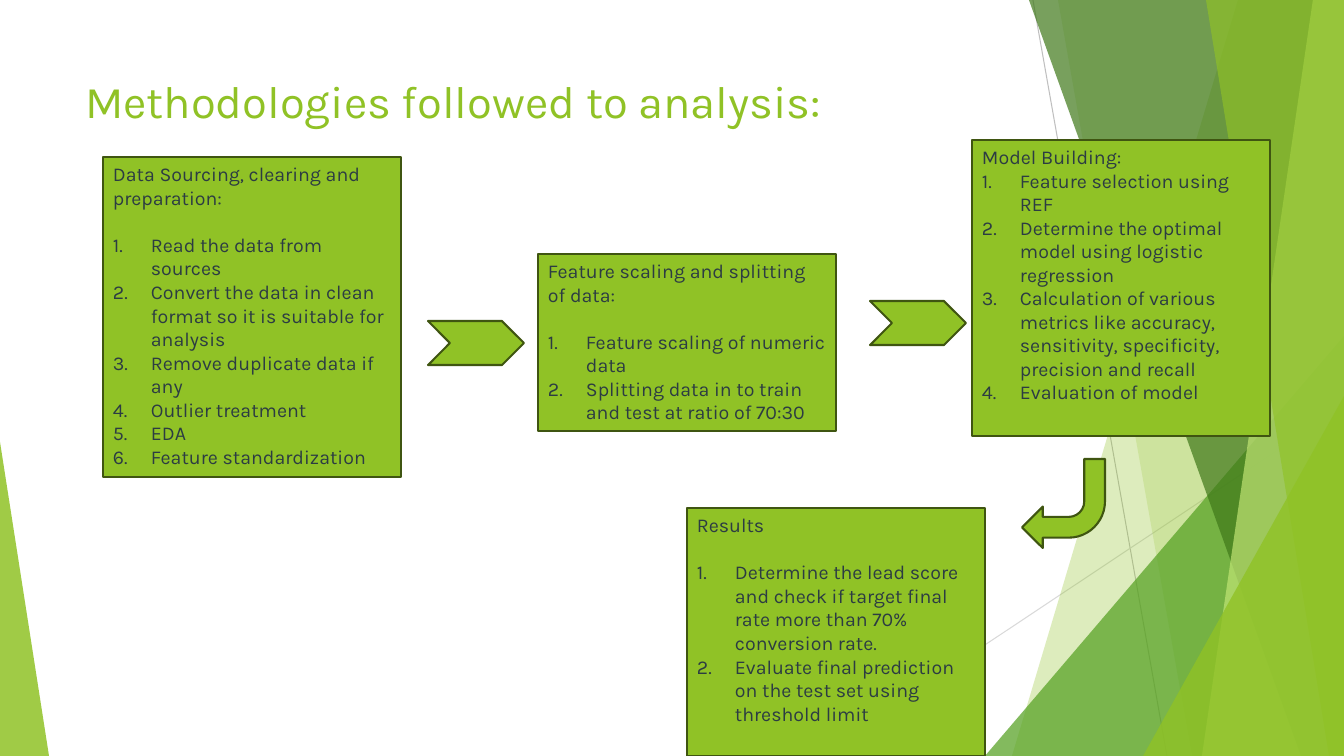
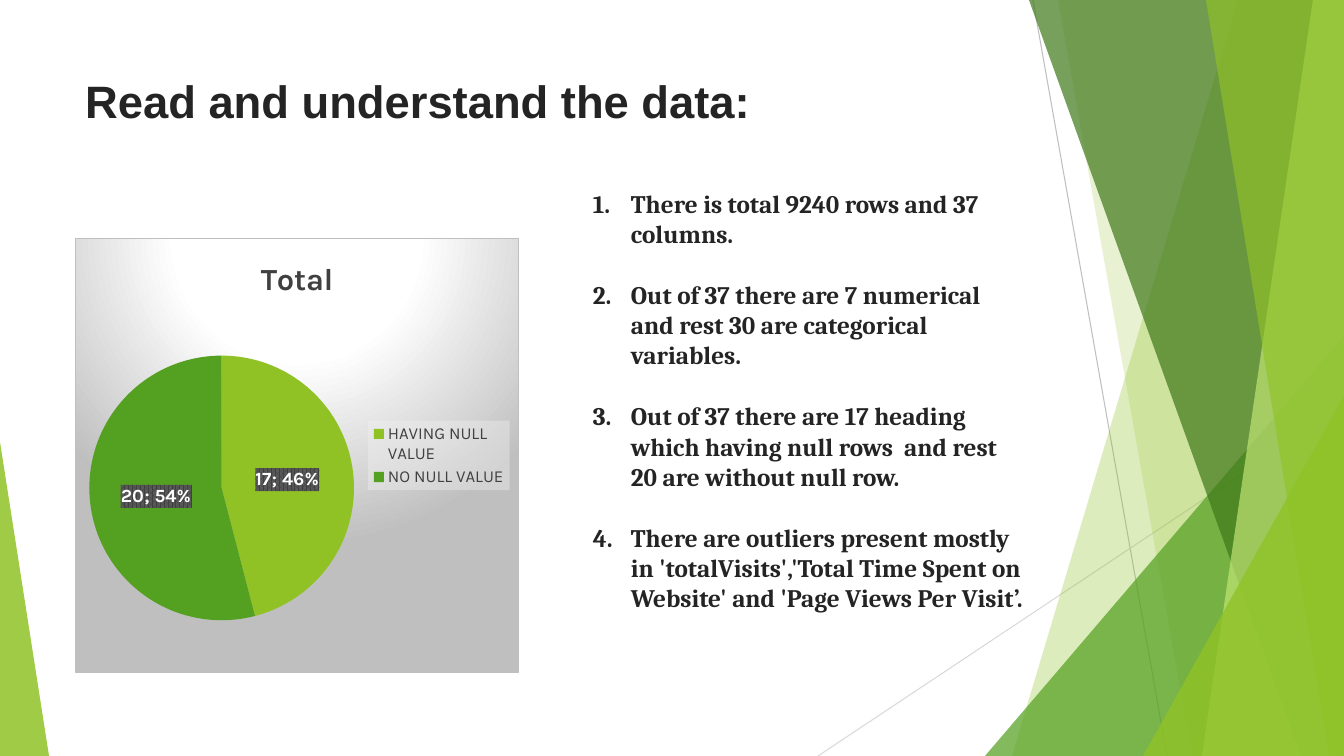
from lxml import etree
from pptx import Presentation
from pptx.chart import data as chart_data
from pptx.dml import color
from pptx.enum import chart as chart_kinds, shapes, text
from pptx.oxml import ns, parse_xml
from pptx import util as u

SLIDE_W, SLIDE_H = 1344, 756
SCALE = 12192000 / SLIDE_W
INDENT = 38
COLORS = {
    "lime": "90C226", "green": "54A021", "forest": "3F7819", "pale": "C0E474",
    "outline": "3F5511", "slate": "2C3C43", "ink": "242424", "white": "FFFFFF",
    "grey": "404040", "mid_grey": "595959", "silver": "BFBFBF", "mist": "D9D9D9",
    "smoke": "F2F2F2",
}

# Backdrop pieces from back to front: triangles as (box, apex), the rest as corners
BACKDROP = [
    ([(1238, 0), (1344, 0), (1344, 756), (1012, 756)], None, "lime", 30),
    ([(1058, 0), (1344, 0), (1344, 756), (1192, 756)], None, "lime", 20),
    ((985, 336, 359, 420), 1, "green", 72),
    ([(1029, 0), (1344, 0), (1344, 756), (1301, 756)], None, "forest", 70),
    ([(1313, 0), (1344, 0), (1344, 756), (1202, 756)], None, "pale", 70),
    ([(1206, 0), (1344, 0), (1344, 756), (1329, 756)], None, "lime", 65),
    ((1143, 396, 201, 360), 1, "lime", 80),
    ((0, 442, 49, 314), 0, "lime", 85),
]
BACKDROP_LINES = [((1033, 0, 1167, 756), "silver"), ((1344, 406, 818, 756), "mist")]

STEP_W = 298
STEPS = [
    ((103, 157, STEP_W, 320), "Data Sourcing, clearing and preparation:", 17,
     ["Read the data from sources",
      "Convert the data in clean format so it is suitable for analysis",
      "Remove duplicate data if any", "Outlier treatment", "EDA",
      "Feature standardization"]),
    ((538, 254, STEP_W, 177), "Feature scaling and splitting of data:", 17,
     ["Feature scaling of numeric data",
      "Splitting data in to train and test at ratio of 70:30"]),
    ((972, 140, STEP_W, 296), "Model Building:", 0,
     ["Feature selection using REF",
      "Determine the optimal model using logistic regression",
      "Calculation of various metrics like accuracy, sensitivity, specificity, "
      "precision and recall",
      "Evaluation of model"]),
    ((687, 508, STEP_W, 248), "Results", 17,
     ["Determine the lead score and check if target final rate more than 70% "
      "conversion rate.",
      "Evaluate final prediction on the test set using threshold limit"]),
]
ARROWS = [
    (shapes.MSO_SHAPE.CHEVRON, (428, 321, 96, 44), 0),
    (shapes.MSO_SHAPE.CHEVRON, (870, 301, 96, 44), 0),
    (shapes.MSO_SHAPE.BENT_ARROW, (1022, 459, 83, 89), 180),
]
FINDINGS = [
    "There is total 9240 rows and 37 columns.",
    "Out of 37 there are 7 numerical and rest 30 are categorical variables.",
    "Out of 37 there are 17 heading which having null rows  and rest 20 are without null row.",
    "There are outliers present mostly in 'totalVisits','Total Time Spent on Website' "
    "and 'Page Views Per Visit’.",
]


def px(*lengths):
    return [u.Emu(round(length * SCALE)) for length in lengths]


def rgb(name):
    return color.RGBColor.from_string(COLORS[name])


def style_font(font, size, name, tint, bold=False):
    font.size, font.name, font.bold = u.Pt(size), name, bold
    font.color.rgb = rgb(tint)


def add_text(para, words, *style):
    span = para.add_run()
    span.text = words
    style_font(span.font, *style)


def number_para(para):
    """Give the paragraph an automatic number and a hanging indent."""
    props = para._p.get_or_add_pPr()
    hang = px(INDENT)[0]
    props.set("marL", str(hang))
    props.set("indent", str(-hang))
    etree.SubElement(props, ns.qn("a:buFont"), typeface="+mj-lt")
    etree.SubElement(props, ns.qn("a:buAutoNum"), type="arabicPeriod")


def paint(shape, fill, alpha=None, outline=None):
    shape.shadow.inherit = False
    shape.fill.solid()
    shape.fill.fore_color.rgb = rgb(fill)
    if alpha is not None:
        tint = shape.element.find(".//" + ns.qn("a:srgbClr"))
        etree.SubElement(tint, ns.qn("a:alpha"), val=str(alpha * 1000))
    if outline:
        shape.line.color.rgb = rgb(outline)
        shape.line.width = u.Pt(1.5)
    else:
        shape.line.fill.background()


def put_backdrop_on_layout(page):
    """Draw the shared backdrop as a group and hand it to the page's layout."""
    group = page.shapes.add_group_shape()
    for ends, tint in BACKDROP_LINES:
        line = group.shapes.add_connector(shapes.MSO_CONNECTOR.STRAIGHT, *px(*ends))
        line.line.color.rgb = rgb(tint)
        line.line.width = u.Pt(0.75)
        etree.SubElement(line.element.spPr, ns.qn("a:effectLst"))
    for outline, apex, tint, alpha in BACKDROP:
        if apex is None:
            builder = group.shapes.build_freeform(*outline[0], scale=SCALE)
            builder.add_line_segments(outline[1:], close=True)
            piece = builder.convert_to_shape()
        else:
            piece = group.shapes.add_shape(
                shapes.MSO_SHAPE.ISOSCELES_TRIANGLE, *px(*outline))
            piece.adjustments[0] = apex
        paint(piece, tint, alpha)
    for number, props in enumerate(group.element.iter(ns.qn("p:cNvPr")), 50):
        props.set("id", str(number))
    page.slide_layout.shapes.element.append(group.element)


def set_title(page, words, *style):
    title = page.shapes.title
    title.left, title.top, title.width, title.height = px(75, 68, 948, 70)
    frame = title.text_frame
    frame.word_wrap = True
    frame.auto_size = text.MSO_AUTO_SIZE.NONE
    frame.vertical_anchor = text.MSO_ANCHOR.TOP
    para = frame.paragraphs[0]
    para.alignment = text.PP_ALIGN.LEFT
    add_text(para, words, 32.4, *style)


def add_step(page, box, heading, gap, items):
    step = page.shapes.add_shape(shapes.MSO_SHAPE.RECTANGLE, *px(*box))
    paint(step, "lime", outline="outline")
    frame = step.text_frame
    frame.word_wrap = True
    frame.vertical_anchor = text.MSO_ANCHOR.TOP
    for index, words in enumerate([heading] + items):
        para = frame.add_paragraph() if index else frame.paragraphs[0]
        para.alignment = text.PP_ALIGN.LEFT
        if index:
            number_para(para)
            para.space_before = u.Pt(gap if index == 1 else 0)
        add_text(para, words, 14, "Karla", "slate")


def add_arrow(page, kind, box, turn):
    arrow = page.shapes.add_shape(kind, *px(*box))
    arrow.rotation = turn
    paint(arrow, "lime", outline="outline")


def add_findings(page, box):
    frame = page.shapes.add_textbox(*px(*box)).text_frame
    frame.word_wrap = True
    for index, words in enumerate(FINDINGS):
        para = frame.add_paragraph() if index else frame.paragraphs[0]
        number_para(para)
        para.space_before = u.Pt(22 if index else 0)
        add_text(para, words, 18, "Cambria", "ink", True)


def chart_props(inner):
    return parse_xml(f'<c:spPr {ns.nsdecls("c", "a")}>{inner}</c:spPr>')


def srgb(name, extra=""):
    return f'<a:srgbClr val="{COLORS[name]}">{extra}</a:srgbClr>'


def chart_layout(x, y, w, h, target=""):
    sizes = "".join(f'<c:{key} val="{value}"/>' for key, value in
                    (("xMode", "edge"), ("yMode", "edge"),
                     ("x", x), ("y", y), ("w", w), ("h", h)))
    return parse_xml(f'<c:layout {ns.nsdecls("c")}><c:manualLayout>{target}{sizes}'
                     '</c:manualLayout></c:layout>')


def style_chart_parts(chart):
    """Set the gradient, label and legend fills, and the places of pie and legend."""
    root = chart.element
    stops = "".join(f'<a:gs pos="{at * 1000}">{srgb(tint)}</a:gs>' for at, tint in
                    ((0, "white"), (39, "white"), (100, "silver")))
    root.find(ns.qn("c:chart")).addnext(chart_props(
        f'<a:gradFill><a:gsLst>{stops}</a:gsLst><a:path path="circle">'
        '<a:fillToRect l="50000" t="-80000" r="50000" b="180000"/></a:path></a:gradFill>'
        f'<a:ln w="9525"><a:solidFill>{srgb("silver")}</a:solidFill></a:ln>'))

    labels = root.find(".//" + ns.qn("c:dLbls"))
    labels.find(ns.qn("c:txPr")).addprevious(chart_props(
        f'<a:pattFill prst="pct75"><a:fgClr>{srgb("grey")}</a:fgClr>'
        f'<a:bgClr>{srgb("mid_grey")}</a:bgClr></a:pattFill>'))
    separator = parse_xml(f'<c:separator {ns.nsdecls("c")}>; </c:separator>')
    labels.find(ns.qn("c:showBubbleSize")).addnext(separator)

    plot_area = root.find(".//" + ns.qn("c:plotArea"))
    legend = root.find(".//" + ns.qn("c:legend"))
    for part in (plot_area, legend):
        for old in part.findall(ns.qn("c:layout")):
            part.remove(old)
    plot_area.insert(0, chart_layout(0.03, 0.27, 0.6, 0.61,
                                     '<c:layoutTarget val="inner"/>'))
    legend.find(ns.qn("c:legendPos")).addnext(chart_layout(0.66, 0.42, 0.32, 0.16))
    legend.find(ns.qn("c:overlay")).addnext(chart_props(
        f'<a:solidFill>{srgb("smoke", "<a:alpha val=%s/>" % chr(34).join(["", "39000", ""]))}'
        '</a:solidFill>'))


def add_null_pie(page, box):
    data = chart_data.CategoryChartData()
    data.categories = ["HAVING NULL VALUE", "NO NULL VALUE"]
    data.add_series("Total", (17, 20))
    chart = page.shapes.add_chart(chart_kinds.XL_CHART_TYPE.PIE, *px(*box), data).chart
    chart.font.size, chart.font.name = u.Pt(10), "Karla"
    chart.has_title = True
    add_text(chart.chart_title.text_frame.paragraphs[0], "Total", 22, "Karla", "grey", True)

    chart.has_legend = True
    chart.legend.position = chart_kinds.XL_LEGEND_POSITION.RIGHT
    chart.legend.include_in_layout = False
    style_font(chart.legend.font, 12, "Karla", "grey")

    chart.plots[0].vary_by_categories = True
    series = chart.plots[0].series[0]
    for index, tint in enumerate(("lime", "green")):
        fill = series.points[index].format.fill
        fill.solid()
        fill.fore_color.rgb = rgb(tint)
    labels = series.data_labels
    labels.show_value = labels.show_percentage = True
    labels.position = chart_kinds.XL_LABEL_POSITION.CENTER
    style_font(labels.font, 13.3, "Karla", "white", True)
    style_chart_parts(chart)


def fill_methods_page(page):
    set_title(page, "Methodologies followed to analysis:", "Karla", "lime")
    for step in STEPS:
        add_step(page, *step)
    for arrow in ARROWS:
        add_arrow(page, *arrow)


def fill_data_page(page):
    set_title(page, "Read and understand the data:", "Arial", "ink", True)
    add_findings(page, (583, 183, 453, 437))
    add_null_pie(page, (75, 238, 444, 435))


def main():
    deck = Presentation()
    deck.slide_width, deck.slide_height = px(SLIDE_W, SLIDE_H)
    title_only = deck.slide_layouts[5]
    methods, findings = (deck.slides.add_slide(title_only) for _ in range(2))
    put_backdrop_on_layout(methods)
    fill_methods_page(methods)
    fill_data_page(findings)
    deck.save("out.pptx")


if __name__ == "__main__":
    main()
